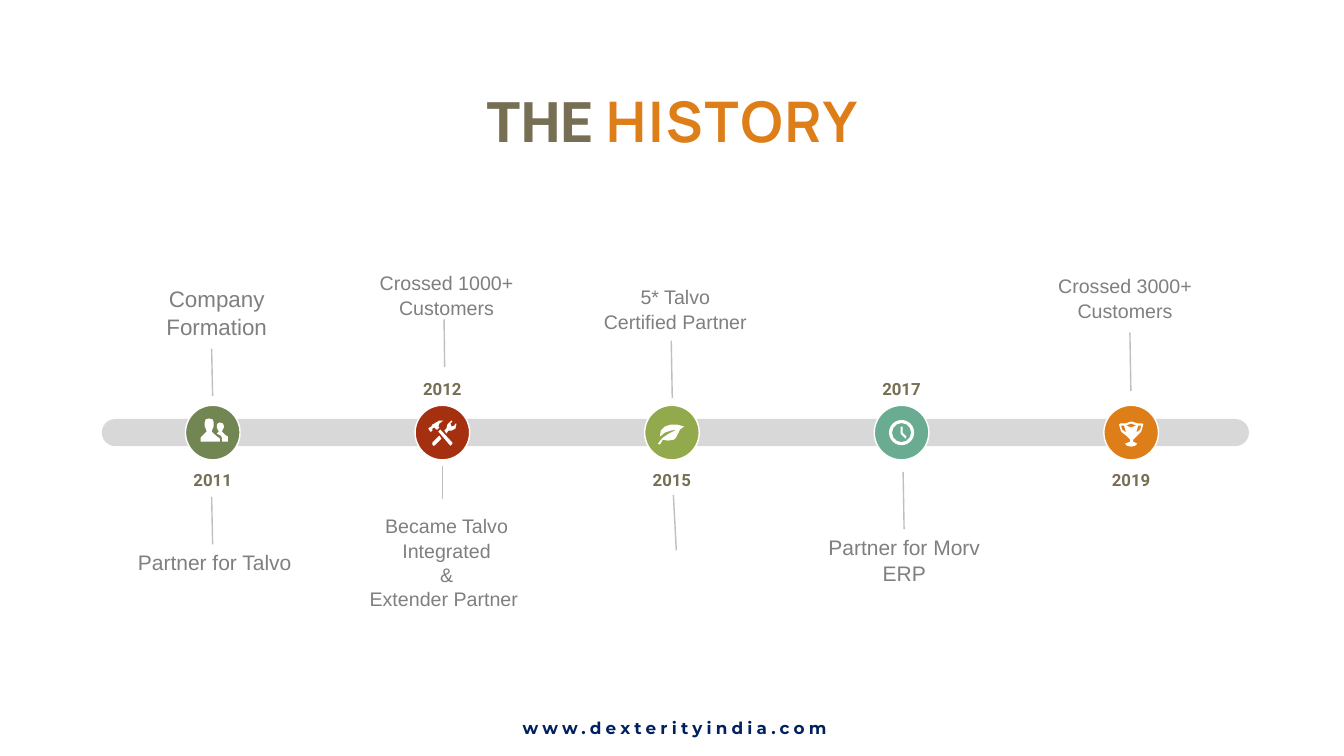
from lxml.etree import SubElement
from pptx import Presentation
from pptx.dml.color import RGBColor
from pptx.enum.shapes import MSO_CONNECTOR as Connector, MSO_SHAPE as Shape
from pptx.enum.text import MSO_ANCHOR as Anchor, PP_ALIGN as Align
from pptx.oxml.ns import qn
from pptx.util import Pt

WHITE = RGBColor(0xFF, 0xFF, 0xFF)
OLIVE = RGBColor(0x76, 0x6F, 0x54)
ORANGE = RGBColor(0xDE, 0x7E, 0x18)
NAVY = RGBColor(0x00, 0x20, 0x60)
GREY = RGBColor(0x7F, 0x7F, 0x7F)
LINE_GREY = RGBColor(0xBF, 0xBF, 0xBF)
BAR_GREY = RGBColor(0xD8, 0xD8, 0xD8)
MOSS = RGBColor(0x72, 0x86, 0x53)
RUST = RGBColor(0xA5, 0x30, 0x10)
LEAF_GREEN = RGBColor(0x92, 0xAA, 0x4C)
TEAL = RGBColor(0x6A, 0xAC, 0x91)

FIRST_X, STEP_X, AXIS_Y = 152, 164, 309
YEAR_ABOVE, YEAR_BELOW = 270.7, 335.5
ICON_UNIT = 0.72

PEOPLE = [
    [(7, 6), (7, 9), (-12, 9), (-12, 5), (-9, 2), (-6, -1), (-7, -4), (-8, -6), (-8, -10),
     (-7, -13), (-4, -14), (0, -13), (1, -10), (1, -6), (0, -4), (-1, -1), (2, 2)],
    [(9, 9), (9, 5), (8, 3), (4, 1), (6, -1), (5, -3), (4, -5), (4, -7), (5, -9), (7, -10),
     (10, -9), (11, -7), (11, -5), (10, -3), (9, -1), (12, 2), (15, 4), (15, 9)],
]
TOOLS = [
    [(-10, -4), (-8, -5), (-6, -3), (-5, -3), (-3, -5), (-4, -6), (-3, -9), (1, -12), (-3, -12),
     (-8, -9), (-10, -8), (-11, -6), (-13, -5), (-14, -4), (-12, -1), (-11, -1), (-10, -2)],
    [(-2, -3), (-4, -1), (7, 12), (8, 13), (10, 11), (10, 10)],
    [(14, -9), (13, -9), (12, -7), (9, -6), (8, -9), (10, -11), (9, -12), (5, -8), (4, -4),
     (2, -2), (4, 1), (6, -2), (9, -2), (13, -4)],
    [(-10, 10), (-10, 12), (-9, 13), (-8, 13), (-1, 6), (-3, 3)],
]
LEAF = [
    [(12, -6), (8, -3), (6, 1), (4, 5), (2, 7), (-4, 8), (-9, 7), (-12, 12), (-14, 11), (-9, 5),
     (-3, 1), (5, -3), (-1, -2), (-7, 0), (-12, 4), (-11, -2), (-7, -6), (-1, -8), (5, -8)],
]
CLOCK_HANDS = [[(1, 0), (5, 4), (4, 6), (-1, 1), (-1, -6), (1, -6)]]
TROPHY = [
    [(2, 9), (6, 11), (4, 13), (0, 14), (-4, 13), (-6, 11), (-1, 9), (-1, 7), (-5, 3), (-10, -1),
     (-12, -8), (-11, -9), (-6, -9), (0, -11), (7, -9), (11, -9), (12, -8), (10, -1), (6, 3), (2, 7)],
    [(-5, 0), (-7, -7), (-10, -7), (-9, -3)],
    [(-5, -7), (0, -5), (5, -7), (0, -9)],
    [(10, -7), (7, -7), (5, 0), (9, -3)],
]

MILESTONES = [
    ("2011", YEAR_BELOW, MOSS, PEOPLE),
    ("2012", YEAR_ABOVE, RUST, TOOLS),
    ("2015", YEAR_BELOW, LEAF_GREEN, LEAF),
    ("2017", YEAR_ABOVE, TEAL, CLOCK_HANDS),
    ("2019", YEAR_BELOW, ORANGE, TROPHY),
]
EVENTS = [
    ("Company\nFormation", 87.8, 203, 16),
    ("Partner for Talvo", 86.4, 391.7, 15),
    ("Crossed 1000+ Customers", 252, 193, 14),
    ("Became Talvo Integrated\n&\nExtender Partner ", 252, 366.5, 14),
    ("5* Talvo\nCertified Partner", 415.4, 203, 14),
    ("Partner for Morv ERP", 578.9, 380.9, 15),
    ("Crossed 3000+ Customers", 736.6, 195.1, 14),
]
LEADERS = [
    (151.9, 283, 151.2, 249.1),
    (151.9, 388.8, 151.2, 355),
    (317.6, 262, 317.2, 228.2),
    (316.1, 356.4, 316.1, 332.6),
    (480.2, 284.4, 479.5, 243.4),
    (483.1, 393.1, 481, 353.5),
    (645.8, 378, 645.1, 337),
    (807.8, 279.4, 807.1, 237.6),
]


def style_run(run, font_name, size, color, bold=False, spacing=0):
    run.font.name = font_name
    run.font.size = Pt(size)
    run.font.color.rgb = color
    run.font.bold = bold
    if spacing:
        run._r.get_or_add_rPr().set("spc", str(int(spacing * 100)))


def add_label(slide, text, left, top, width, height, font_name, size, color,
              bold=False, spacing=0, line_spacing=1.0):
    label = slide.shapes.add_textbox(Pt(left), Pt(top), Pt(width), Pt(height))
    frame = label.text_frame
    frame.word_wrap = True
    frame.margin_left = frame.margin_right = frame.margin_top = frame.margin_bottom = 0
    frame.text = text
    for paragraph in frame.paragraphs:
        paragraph.alignment = Align.CENTER
        paragraph.line_spacing = line_spacing
        for run in paragraph.runs:
            style_run(run, font_name, size, color, bold, spacing)


def add_title(slide):
    title = slide.shapes.add_textbox(Pt(222.5), Pt(58.3), Pt(514.8), Pt(55.4))
    title.fill.solid()
    title.fill.fore_color.rgb = WHITE
    title.text_frame.word_wrap = True
    title.text_frame.vertical_anchor = Anchor.MIDDLE
    paragraph = title.text_frame.paragraphs[0]
    paragraph.alignment = Align.CENTER
    for word, font_name, color, spacing in (("THE ", "Roboto", OLIVE, 0),
                                            ("HISTORY", "Manrope", ORANGE, 1.5)):
        run = paragraph.add_run()
        run.text = word
        style_run(run, font_name, 40, color, True, spacing)


def paint(shape, fill, outline=None):
    shape.shadow.inherit = False
    shape.fill.solid()
    shape.fill.fore_color.rgb = fill
    if outline is None:
        shape.line.fill.background()
    else:
        shape.line.color.rgb = outline
        shape.line.width = Pt(1)


def add_centred(slide, preset, x, y, width, height, fill, outline=None):
    shape = slide.shapes.add_shape(preset, Pt(x - width / 2), Pt(y - height / 2),
                                   Pt(width), Pt(height))
    paint(shape, fill, outline)
    return shape


def add_icon(slide, x, y, contours):
    builder = slide.shapes.build_freeform(*contours[0][0], scale=Pt(ICON_UNIT))
    builder.add_line_segments(contours[0][1:], close=True)
    for contour in contours[1:]:
        builder.move_to(*contour[0])
        builder.add_line_segments(contour[1:], close=True)
    paint(builder.convert_to_shape(Pt(x), Pt(y)), WHITE)


def add_leader(slide, *ends):
    leader = slide.shapes.add_connector(Connector.STRAIGHT, *(Pt(end) for end in ends))
    leader.line.color.rgb = LINE_GREY
    leader.line.width = Pt(1)
    SubElement(leader._element.spPr, qn("a:effectLst"))


def add_milestone(slide, x, year, year_top, color, contours):
    add_label(slide, year, x - 21.2, year_top, 42.4, 14.4, "Roboto", 12, OLIVE, bold=True)
    add_centred(slide, Shape.OVAL, x, AXIS_Y, 39, 39, color, WHITE)
    if contours is CLOCK_HANDS:
        clock_rim = add_centred(slide, Shape.DONUT, x, AXIS_Y, 18, 18, WHITE)
        clock_rim.adjustments[0] = 0.12
    add_icon(slide, x, AXIS_Y, contours)


def main():
    deck = Presentation()
    deck.slide_width, deck.slide_height = Pt(960), Pt(540)
    slide = deck.slides.add_slide(deck.slide_layouts[6])
    add_title(slide)
    bar = add_centred(slide, Shape.ROUNDED_RECTANGLE, 482.4, AXIS_Y, 819.4, 19.4, BAR_GREY)
    bar.adjustments[0] = 0.5
    for leader in LEADERS:
        add_leader(slide, *leader)
    for index, milestone in enumerate(MILESTONES):
        add_milestone(slide, FIRST_X + index * STEP_X, *milestone)
    for text, left, top, size in EVENTS:
        add_label(slide, text, left, top, 134, 60.5, "Arial", size, GREY, line_spacing=1.04)
    add_label(slide, "www.dexterityindia.com", 312.5, 512.6, 339.1, 14.4,
              "Montserrat", 12, NAVY, bold=True, spacing=3)
    deck.save("out.pptx")


if __name__ == "__main__":
    main()
